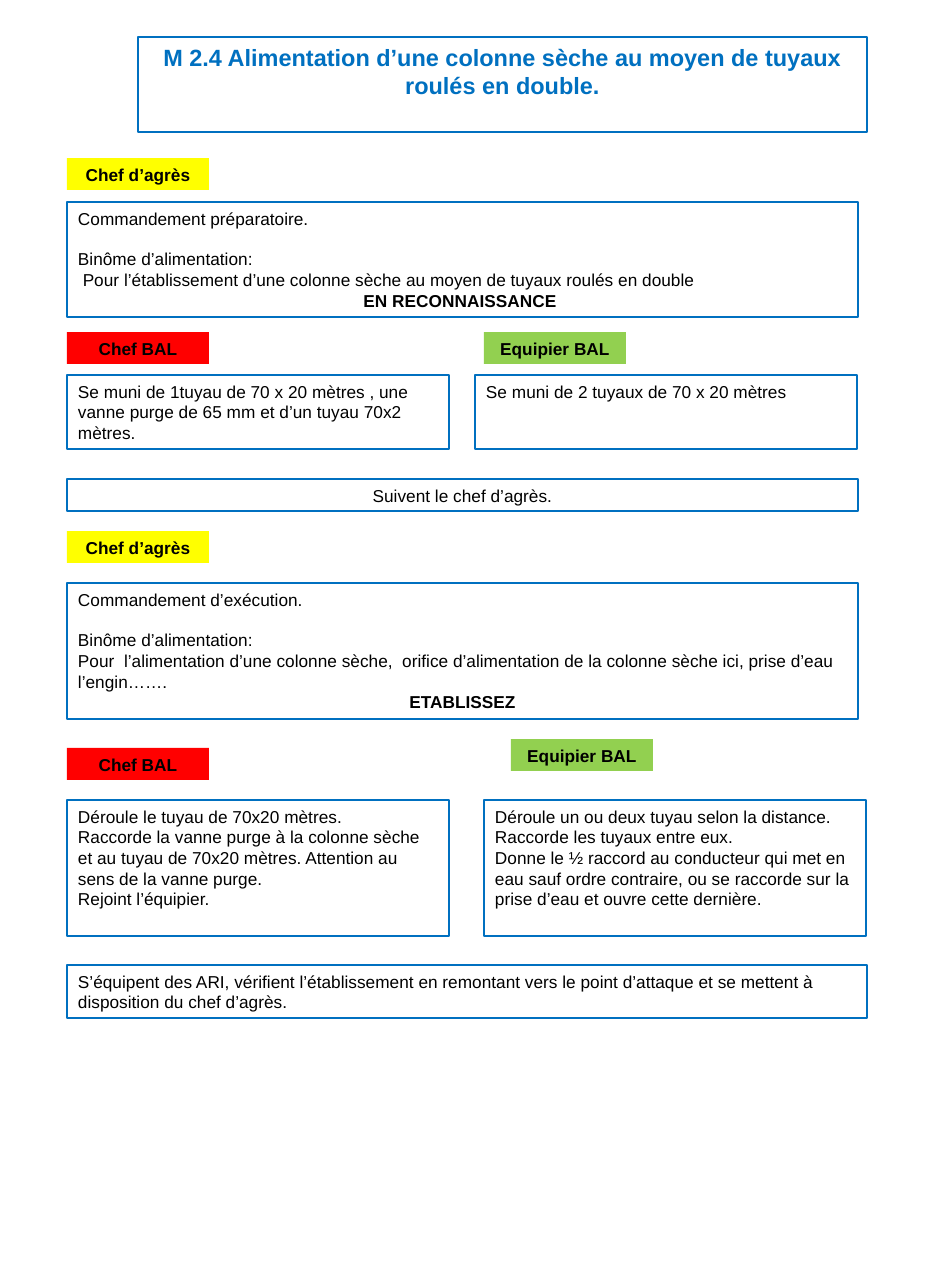
import pptx
import pptx.util
import pptx.dml.color
import pptx.enum.shapes
import pptx.enum.text
from dataclasses import dataclass


@dataclass(frozen=True)
class Theme:
    font: str = "Arial"
    blue: str = "0070C0"
    black: str = "000000"
    yellow: str = "FFFF00"
    red: str = "FF0000"
    green: str = "92D050"
    title_size: int = 15
    body_size: int = 11
    title_line: float = 1.5
    body_line: float = 1
    blank_line: float = 12.65


THEME = Theme()
EMU_PER_PX = 914400 / 112.8
SLIDE_WIDTH, SLIDE_HEIGHT = 933, 1288
LEFT = 67
RIGHT = 475
SHIFTED_RIGHT = 484
FULL_WIDTH = 791
WIDE_WIDTH = 800
HALF_WIDTH = 382
LABEL_WIDTH, LABEL_HEIGHT = 142, 32
INSET_X, INSET_Y = 11, 6

CENTERED = {"centered": True}
COMMAND = {"centered": True, "bold": True}
AFTER_GAP = {"space_before": THEME.blank_line}

TITLE = "M 2.4 Alimentation d’une colonne sèche au moyen de tuyaux roulés en double."
TITLE_AREA = (138, 37, 729, 69)

LABELS = [
    ("Chef d’agrès", THEME.yellow, LEFT, 158),
    ("Chef BAL", THEME.red, LEFT, 332),
    ("Equipier BAL", THEME.green, SHIFTED_RIGHT, 332),
    ("Chef d’agrès", THEME.yellow, LEFT, 531),
    ("Chef BAL", THEME.red, LEFT, 748),
    ("Equipier BAL", THEME.green, 511, 739),
]

BOXES = [
    ((LEFT, 202, FULL_WIDTH, 115), [
        ("Commandement préparatoire.", {}),
        ("Binôme d’alimentation:", AFTER_GAP),
        (" Pour l’établissement d’une colonne sèche au moyen de tuyaux roulés en double", {}),
        ("EN RECONNAISSANCE ", COMMAND),
    ]),
    ((LEFT, 375, HALF_WIDTH, 74), [
        ("Se muni de 1tuyau de 70 x 20 mètres , une vanne purge de 65 mm et d’un tuyau 70x2 mètres.", {}),
    ]),
    ((RIGHT, 375, HALF_WIDTH, 74), [
        ("Se muni de 2 tuyaux de 70 x 20 mètres", {}),
    ]),
    ((LEFT, 479, FULL_WIDTH, 32), [
        ("Suivent le chef d’agrès.", CENTERED),
    ]),
    ((LEFT, 583, FULL_WIDTH, 136), [
        ("Commandement d’exécution.", {}),
        ("Binôme d’alimentation:", AFTER_GAP),
        ("Pour  l’alimentation d’une colonne sèche,  orifice d’alimentation de la colonne sèche ici, "
         "prise d’eau l’engin…….", {}),
        ("ETABLISSEZ", COMMAND),
    ]),
    ((LEFT, 800, HALF_WIDTH, 136), [
        ("Déroule le tuyau de 70x20 mètres.", {}),
        ("Raccorde la vanne purge à la colonne sèche et au tuyau de 70x20 mètres. "
         "Attention au sens de la vanne purge.", {}),
        ("Rejoint l’équipier.", {}),
    ]),
    ((SHIFTED_RIGHT, 800, HALF_WIDTH, 136), [
        ("Déroule un ou deux tuyau selon la distance.", {}),
        ("Raccorde les tuyaux entre eux.", {}),
        ("Donne le ½ raccord au conducteur qui met en eau sauf ordre contraire, "
         "ou se raccorde sur la prise d’eau et ouvre cette dernière.", {}),
    ]),
    ((LEFT, 965, WIDE_WIDTH, 53), [
        ("S’équipent des ARI, vérifient l’établissement en remontant vers le point d’attaque "
         "et se mettent à disposition du chef d’agrès.", {}),
    ]),
]


def px(length):
    return pptx.util.Emu(round(length * EMU_PER_PX))


def rgb(color):
    return pptx.dml.color.RGBColor.from_string(color)


def write_text(paragraph, text, size=THEME.body_size, color=THEME.black,
               bold=False, centered=False, space_before=0):
    alignment = pptx.enum.text.PP_ALIGN
    paragraph.text = text
    paragraph.alignment = alignment.CENTER if centered else alignment.LEFT
    paragraph.space_before = pptx.util.Pt(space_before)
    paragraph.font.name = THEME.font
    paragraph.font.size = pptx.util.Pt(size)
    paragraph.font.bold = bold
    paragraph.font.color.rgb = rgb(color)


def fill_frame(shape, paragraphs):
    frame = shape.text_frame
    frame.word_wrap = True
    frame.auto_size = pptx.enum.text.MSO_AUTO_SIZE.SHAPE_TO_FIT_TEXT
    frame.vertical_anchor = pptx.enum.text.MSO_ANCHOR.TOP
    frame.margin_left = frame.margin_right = px(INSET_X)
    frame.margin_top = frame.margin_bottom = px(INSET_Y)
    for index, (text, style) in enumerate(paragraphs):
        paragraph = frame.add_paragraph() if index else frame.paragraphs[0]
        write_text(paragraph, text, **style)


def outline(shape, width):
    shape.line.color.rgb = rgb(THEME.blue)
    shape.line.width = pptx.util.Pt(width)


def add_rectangle(slide, area, paragraphs, fill=None):
    kind = pptx.enum.shapes.MSO_SHAPE.RECTANGLE
    shape = slide.shapes.add_shape(kind, *map(px, area))
    shape.shadow.inherit = False
    if fill:
        shape.fill.solid()
        shape.fill.fore_color.rgb = rgb(fill)
        shape.line.fill.background()
    else:
        shape.fill.background()
        outline(shape, THEME.body_line)
    fill_frame(shape, paragraphs)


def main():
    presentation = pptx.Presentation()
    presentation.slide_width = px(SLIDE_WIDTH)
    presentation.slide_height = px(SLIDE_HEIGHT)
    slide = presentation.slides.add_slide(presentation.slide_layouts.get_by_name("Title Only"))

    title = slide.shapes.title
    title.left, title.top, title.width, title.height = map(px, TITLE_AREA)
    outline(title, THEME.title_line)
    title_style = {"size": THEME.title_size, "color": THEME.blue, **COMMAND}
    fill_frame(title, [(TITLE, title_style)])

    for area, paragraphs in BOXES:
        add_rectangle(slide, area, paragraphs)
    for text, color, left, top in LABELS:
        area = (left, top, LABEL_WIDTH, LABEL_HEIGHT)
        add_rectangle(slide, area, [(text, COMMAND)], fill=color)

    presentation.save("out.pptx")


if __name__ == "__main__":
    main()
